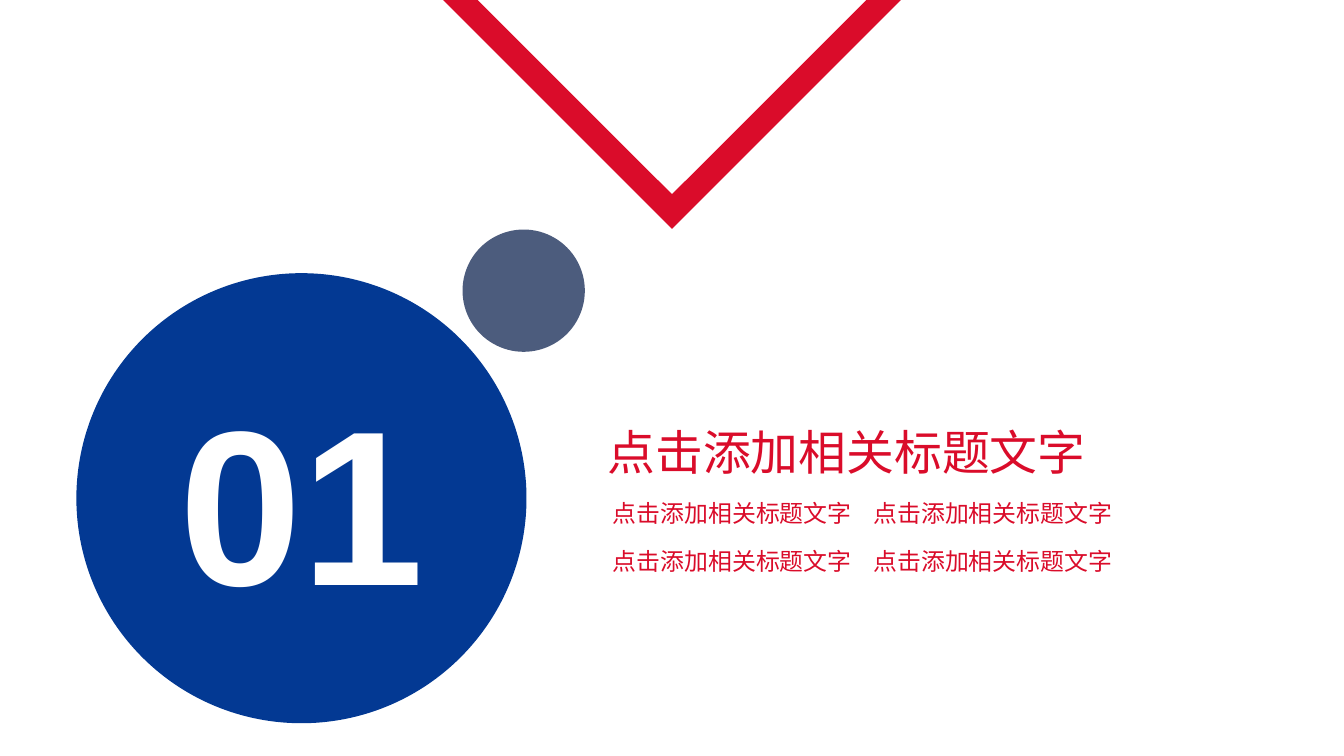
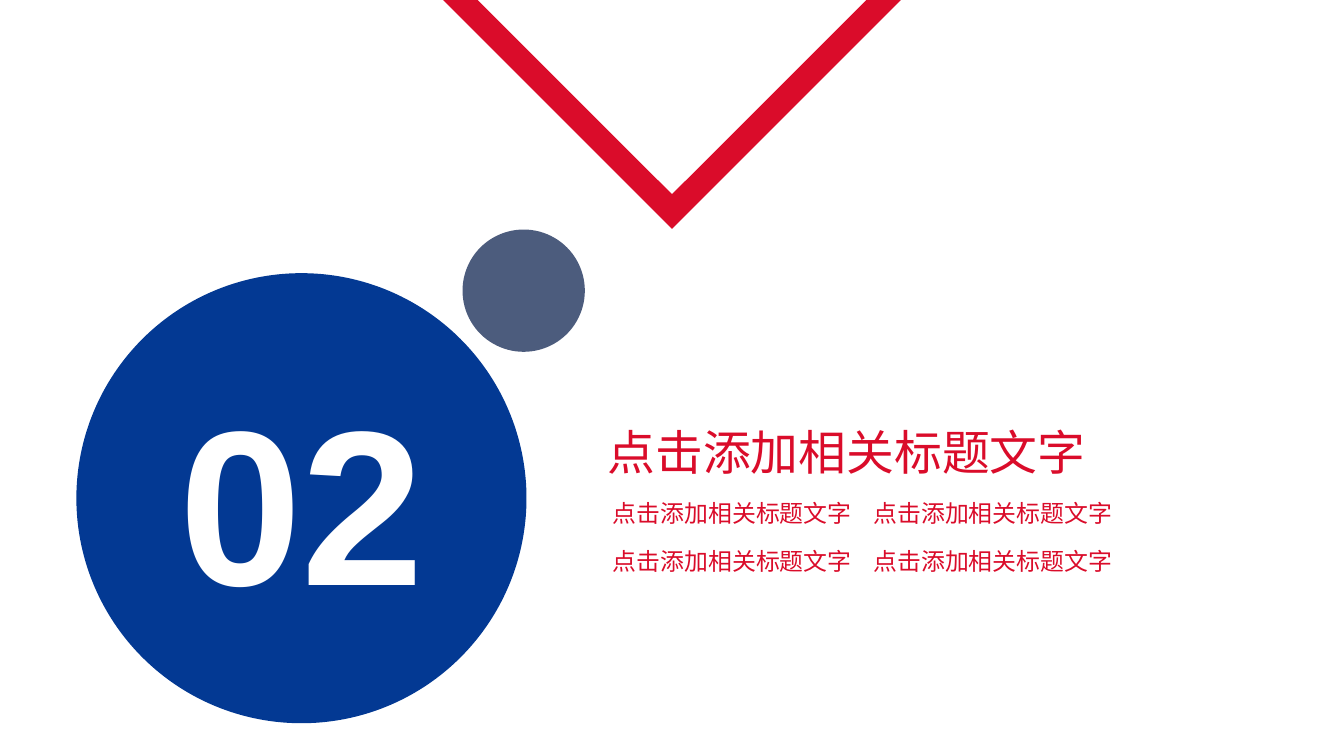
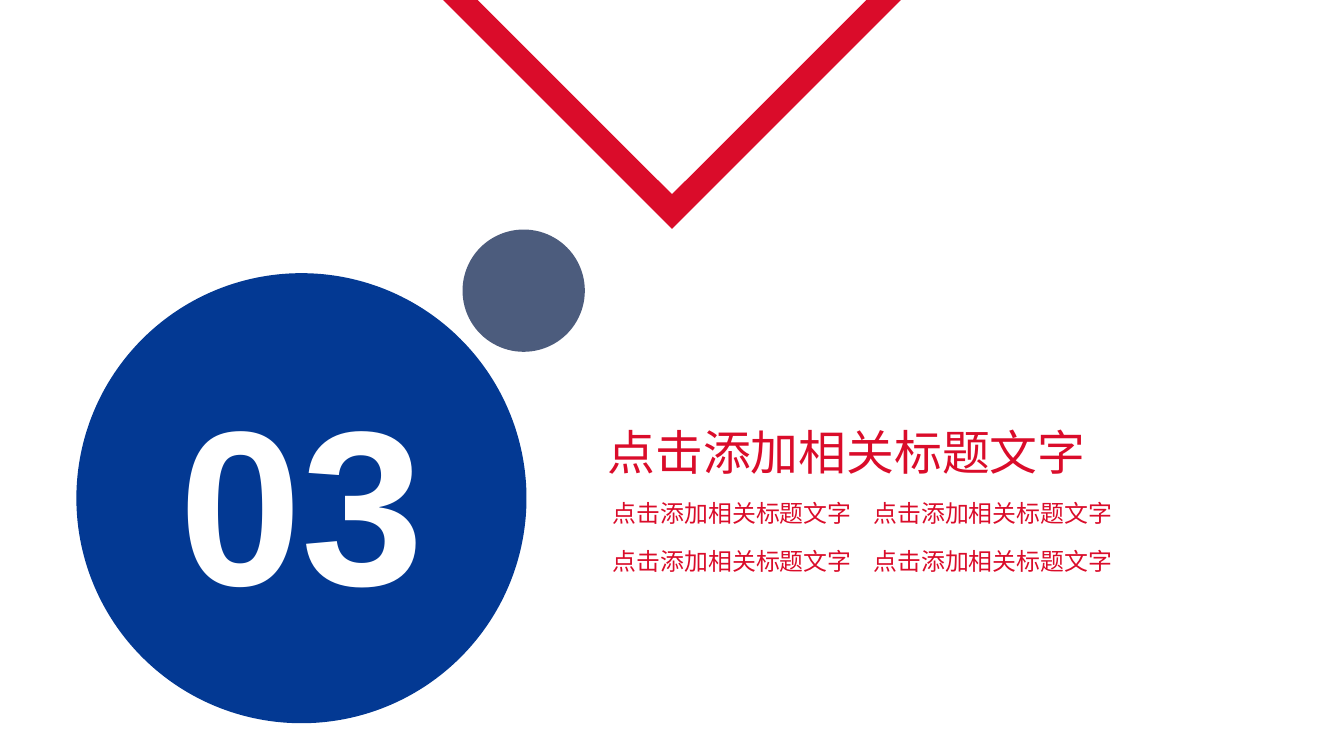
"""Build three numbered section slides that share one design."""
from lxml.etree import SubElement
from pptx import Presentation
from pptx.dml.color import RGBColor
from pptx.enum.shapes import MSO_SHAPE
from pptx.enum.text import MSO_ANCHOR, MSO_AUTO_SIZE, PP_ALIGN
from pptx.oxml.ns import qn
from pptx.util import Cm, Pt

HEADING = "点击添加相关标题文字"
TOPIC_ROWS = [[HEADING, HEADING], [HEADING, HEADING]]
SECTIONS = [
    {"number": number, "title": HEADING, "topics": TOPIC_ROWS}
    for number in ("01", "02", "03")
]

COLORS = {"red": "DA0C2A", "blue": "033993", "navy": "001746", "white": "FFFFFF"}
FONT = "Arial"
SLIDE_SIZE = (35.71, 20.09)
FRAME_SIDE = 14.17
TOPIC_COLUMNS = [(16.28, 6.65, PP_ALIGN.LEFT), (23.14, 6.48, PP_ALIGN.CENTER)]
TOPIC_TOP, TOPIC_STEP, TOPIC_HEIGHT = 13.11, 1.27, 0.92


def place(shape, left, top, width, height):
    shape.left, shape.top = Cm(left), Cm(top)
    shape.width, shape.height = Cm(width), Cm(height)


def add_solid(slide, preset, color, left, top, width, height):
    shape = slide.shapes.add_shape(preset, Cm(left), Cm(top), Cm(width), Cm(height))
    shape.shadow.inherit = False
    shape.fill.solid()
    shape.fill.fore_color.rgb = RGBColor.from_string(COLORS[color])
    shape.line.fill.background()
    return shape


def write(shape, text, size, color, align, spacing=1.0, bold=False, wrap=True):
    frame = shape.text_frame
    frame.text = text
    frame.word_wrap = wrap
    frame.auto_size = MSO_AUTO_SIZE.NONE
    frame.vertical_anchor = MSO_ANCHOR.TOP
    paragraph = frame.paragraphs[0]
    paragraph.alignment = align
    paragraph.line_spacing = spacing
    font = paragraph.runs[0].font
    font.name, font.size, font.bold = FONT, Pt(size), bold
    font.color.rgb = RGBColor.from_string(COLORS[color])


def add_text(slide, box, text, size, color, align, **style):
    shape = slide.shapes.add_textbox(*map(Cm, box))
    frame = shape.text_frame
    frame.margin_left = frame.margin_right = frame.margin_top = frame.margin_bottom = 0
    write(shape, text, size, color, align, **style)


def add_decoration(slide):
    frame_left = (SLIDE_SIZE[0] - FRAME_SIDE) / 2
    chevron = add_solid(slide, MSO_SHAPE.FRAME, "red",
                        frame_left, -11.02, FRAME_SIDE, FRAME_SIDE)
    chevron.adjustments[0] = 0.046
    chevron.rotation = 45
    add_solid(slide, MSO_SHAPE.OVAL, "blue", 2.03, 7.26, 11.96, 11.96)
    small_circle = add_solid(slide, MSO_SHAPE.OVAL, "navy", 12.29, 6.1, 3.25, 3.25)
    color_element = small_circle.fill._xPr.find(qn("a:solidFill"))[0]
    SubElement(color_element, qn("a:alpha")).set("val", "70000")


def add_section(presentation, section):
    slide = presentation.slides.add_slide(presentation.slide_layouts[5])
    add_decoration(slide)
    add_text(slide, (3.81, 9.7, 8.43, 7.09), section["number"], 166, "white",
             PP_ALIGN.CENTER, bold=True)
    title = slide.shapes.title
    place(title, 15.82, 10.8, 13.34, 2.11)
    write(title, section["title"], 36, "red", PP_ALIGN.CENTER, spacing=1.2, wrap=False)
    for row, topics in enumerate(section["topics"]):
        top = TOPIC_TOP + row * TOPIC_STEP
        for topic, (left, width, align) in zip(topics, TOPIC_COLUMNS):
            add_text(slide, (left, top, width, TOPIC_HEIGHT), topic, 18, "red",
                     align, spacing=1.2)


def main():
    presentation = Presentation()
    presentation.slide_width, presentation.slide_height = map(Cm, SLIDE_SIZE)
    for section in SECTIONS:
        add_section(presentation, section)
    presentation.save("out.pptx")


if __name__ == "__main__":
    main()
